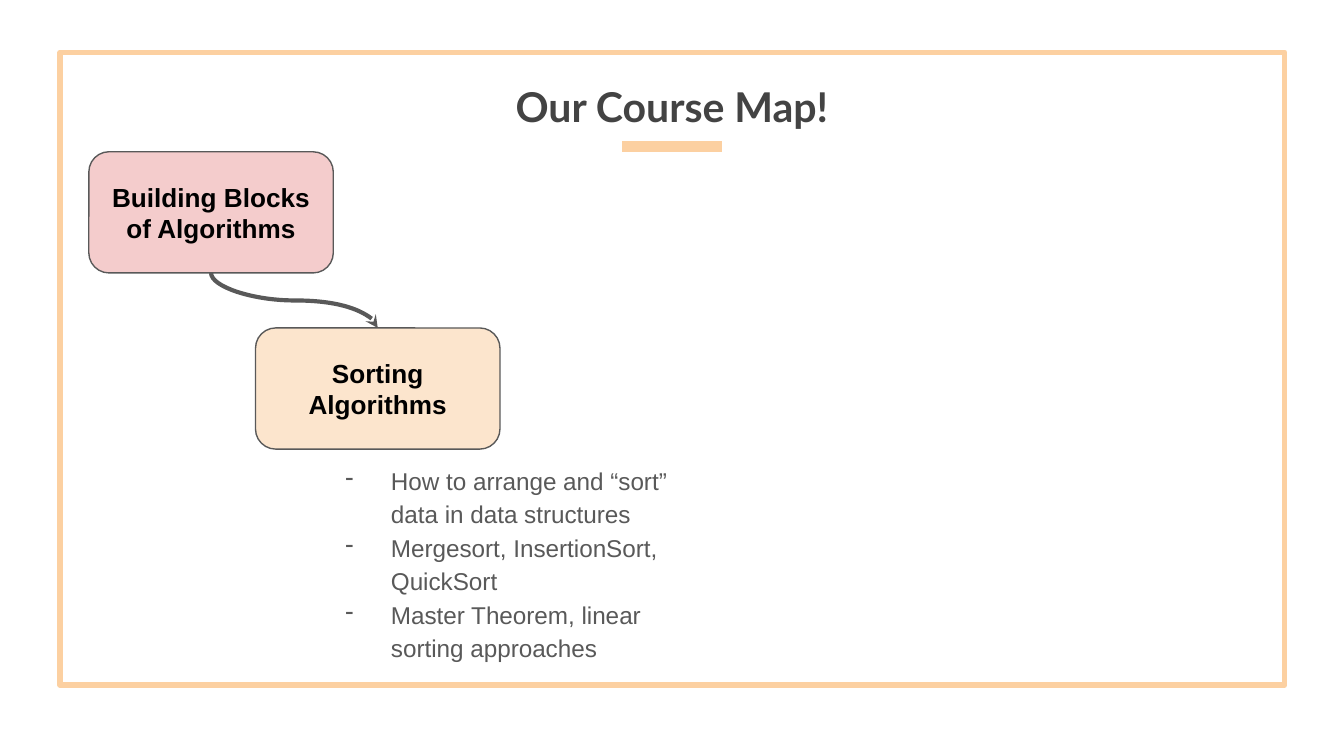
"""Build the course map slide."""
import pptx
import pptx.dml.color
import pptx.enum.shapes
import pptx.enum.text
import pptx.oxml
import pptx.oxml.ns
import pptx.util

Cm, Pt = pptx.util.Cm, pptx.util.Pt
RGB = pptx.dml.color.RGBColor
SHAPE = pptx.enum.shapes.MSO_SHAPE
CONNECTOR = pptx.enum.shapes.MSO_CONNECTOR
ANCHOR = pptx.enum.text.MSO_ANCHOR
ALIGN = pptx.enum.text.PP_ALIGN

PEACH = RGB(0xFC, 0xD0, 0xA1)
PINK = RGB(0xF4, 0xCC, 0xCC)
CREAM = RGB(0xFC, 0xE5, 0xCD)
CHARCOAL = RGB(0x43, 0x43, 0x43)
GRAY = RGB(0x59, 0x59, 0x59)
BLACK = RGB(0, 0, 0)

WIDTH, HEIGHT = 25.4, 14.29
FRAME = (1.14, 0.99, 23.14, 11.96)
TITLE = "Our Course Map!"
ACCENT_WIDTH, ACCENT_Y = 1.88, 2.77
TOPIC_SIZE = (4.62, 2.29)
TOPICS = [
    ("Building Blocks of Algorithms", 1.68, 2.87, PINK),
    ("Sorting Algorithms", 4.83, 6.2, CREAM),
]
DETAILS = [
    "How to arrange and “sort” data in data structures",
    "Mergesort, InsertionSort, QuickSort",
    "Master Theorem, linear sorting approaches",
]


def cm(*values):
    return [Cm(v) for v in values]


def element(tag, **attrs):
    e = pptx.oxml.parse_xml(f"<{tag} {pptx.oxml.ns.nsdecls('a')}/>")
    for name, value in attrs.items():
        e.set(name, str(value))
    return e


def add_box(s, kind, at, line, width, fill=None):
    sp = s.shapes.add_shape(kind, *cm(*at))
    sp.shadow.inherit = False
    if fill is None:
        sp.fill.background()
    else:
        sp.fill.solid()
        sp.fill.fore_color.rgb = fill
    sp.line.color.rgb = line
    sp.line.width = Pt(width)
    return sp


def add_line(s, kind, ends, color, width):
    cx = s.shapes.add_connector(kind, *cm(*ends))
    cx.line.color.rgb = color
    cx.line.width = Pt(width)
    cx._element.spPr.append(element("a:effectLst"))
    return cx


def write(sp, lines, size, font, color, bold, align, anchor):
    tf = sp.text_frame
    tf.word_wrap = True
    tf.vertical_anchor = anchor
    tf.margin_left = tf.margin_right = tf.margin_top = tf.margin_bottom = Cm(0.25)
    tf.text = "\n".join(lines)
    for p in tf.paragraphs:
        p.alignment = align
        for r in p.runs:
            r.font.size, r.font.name, r.font.bold = Pt(size), font, bold
            r.font.color.rgb = color
    return tf


def add_bullet(p):
    p.line_spacing = 1.15
    pPr = p._p.get_or_add_pPr()
    pPr.set("marL", str(Cm(1.27)))
    pPr.set("indent", str(Cm(-0.86)))
    color = element("a:buClr")
    color.append(element("a:srgbClr", val=GRAY))
    pPr.append(color)
    pPr.append(element("a:buChar", char="-"))


def link(s, start, end):
    x1, y1 = start.left + start.width // 2, start.top + start.height
    x2, y2 = end.left + end.width // 2, end.top
    cx = add_line(s, CONNECTOR.CURVE, (0, 0, 1, 1), GRAY, 2.25)
    cx.begin_connect(start, 2)
    cx.end_connect(end, 0)
    cx.width, cx.height = y2 - y1, x2 - x1
    cx.left = (x1 + x2 - cx.width) // 2
    cx.top = (y1 + y2 - cx.height) // 2
    xfrm = cx._element.spPr.find(pptx.oxml.ns.qn("a:xfrm"))
    xfrm.set("rot", "16200000")
    xfrm.set("flipH", "1")
    cx.line._get_or_add_ln().append(element("a:tailEnd", type="stealth"))


def main():
    prs = pptx.Presentation()
    prs.slide_width, prs.slide_height = cm(WIDTH, HEIGHT)
    s = prs.slides.add_slide(prs.slide_layouts[6])

    add_box(s, SHAPE.RECTANGLE, FRAME, PEACH, 3)
    accent_x = (WIDTH - ACCENT_WIDTH) / 2
    add_line(s, CONNECTOR.STRAIGHT,
             (accent_x, ACCENT_Y, accent_x + ACCENT_WIDTH, ACCENT_Y), PEACH, 6)
    title = s.shapes.add_textbox(*cm(0, 0.18, WIDTH, 2.54))
    write(title, [TITLE], 22, "Lato", CHARCOAL, True, ALIGN.CENTER, ANCHOR.BOTTOM)

    topics = []
    for label, x, y, fill in TOPICS:
        sp = add_box(s, SHAPE.ROUNDED_RECTANGLE, (x, y, *TOPIC_SIZE), GRAY, 0.75, fill)
        write(sp, [label], 14, "Arial", BLACK, True, ALIGN.CENTER, ANCHOR.MIDDLE)
        topics.append(sp)
    for start, end in zip(topics, topics[1:]):
        link(s, start, end)

    details = s.shapes.add_textbox(*cm(5.87, 8.48, 7.14, 5.64))
    tf = write(details, DETAILS, 13, "Arial", GRAY, False, ALIGN.LEFT, ANCHOR.TOP)
    for p in tf.paragraphs:
        add_bullet(p)

    prs.save("out.pptx")


if __name__ == "__main__":
    main()
